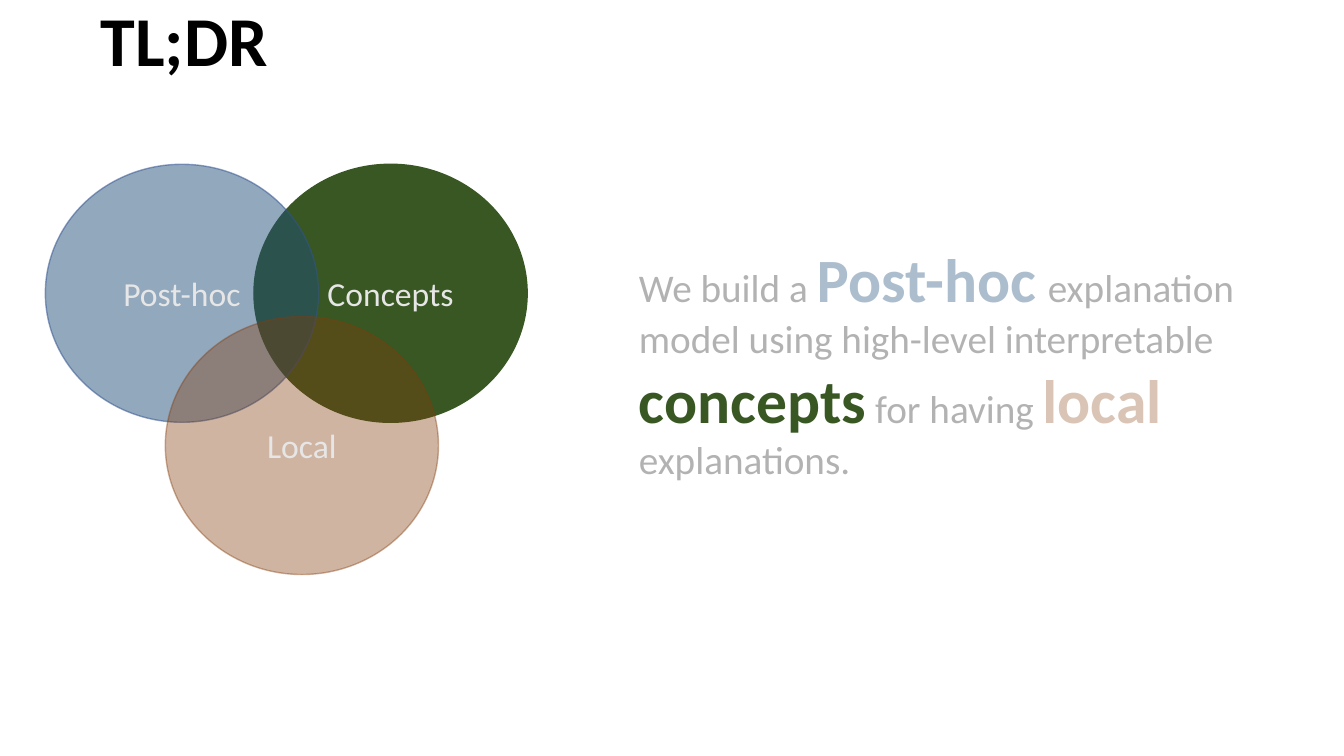
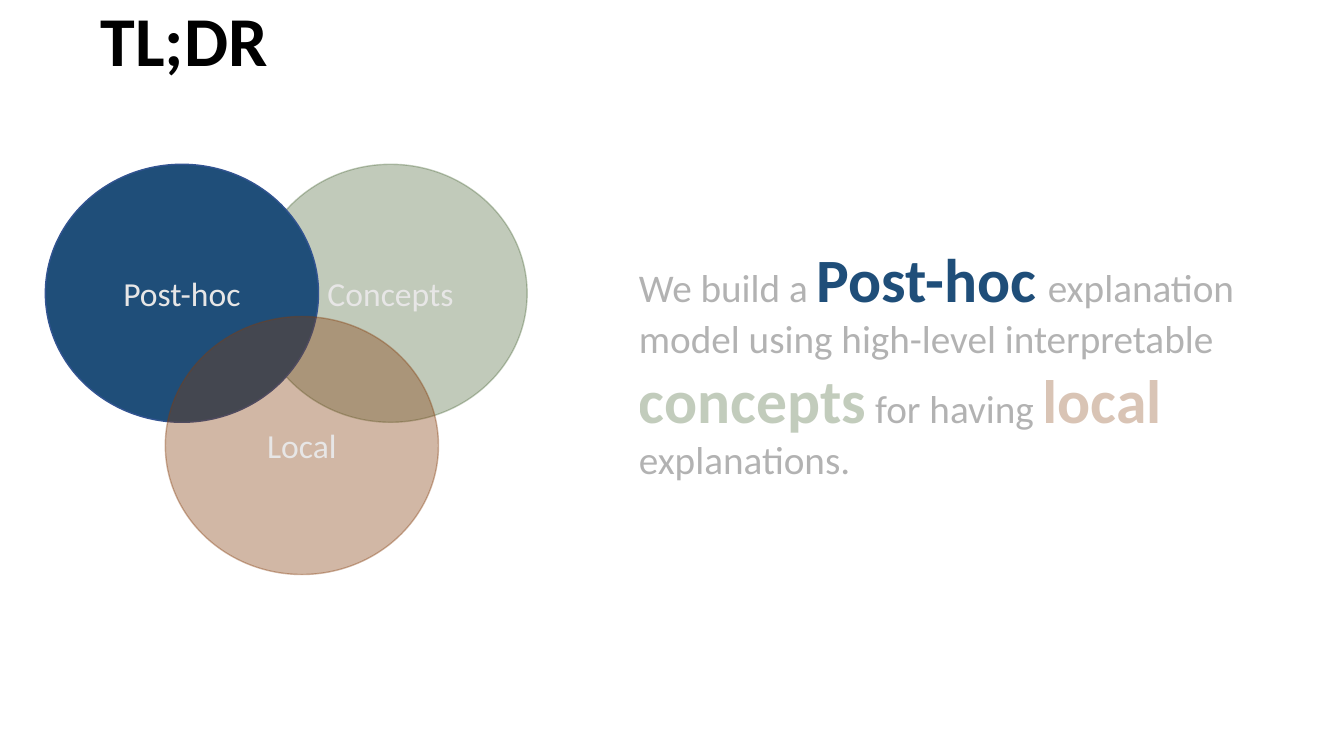
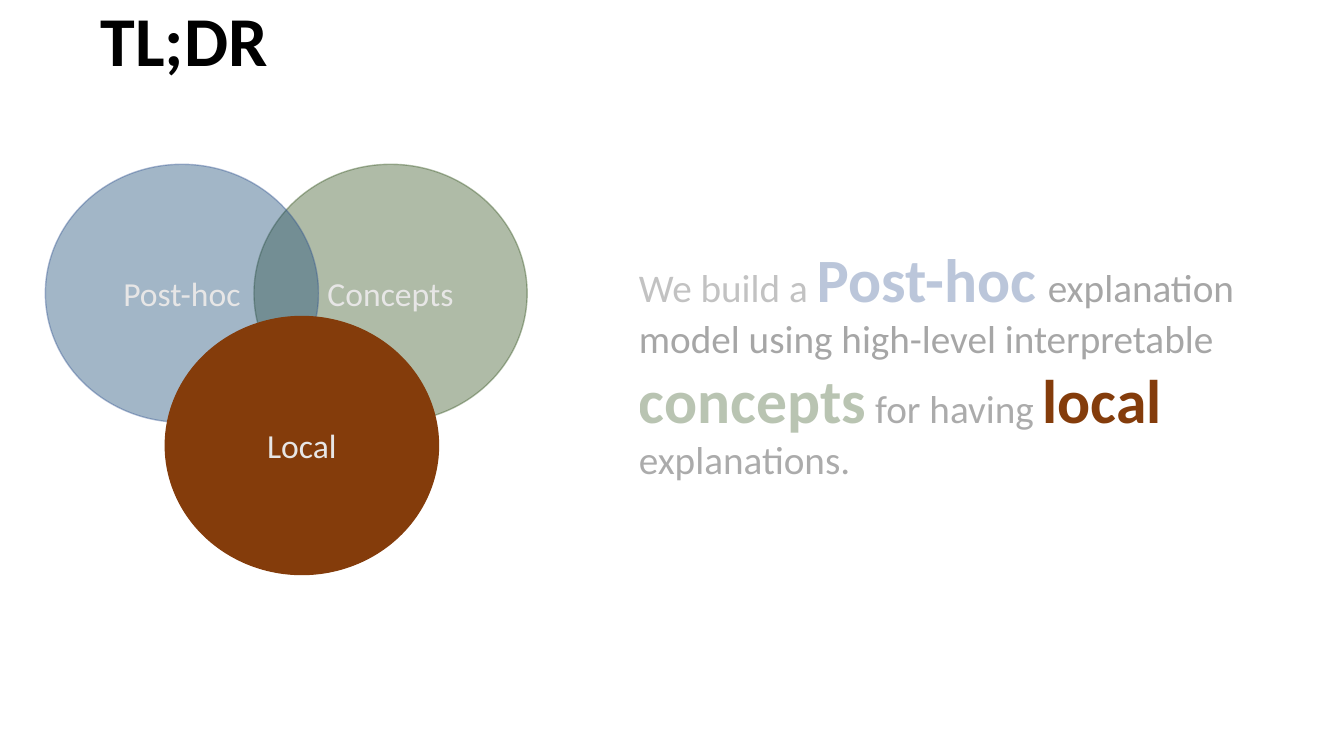
import pptx
import pptx.dml.color
import pptx.enum.shapes
import pptx.enum.text
import pptx.util
from lxml import etree
from pptx.oxml.ns import qn

COLUMNS, ROWS = 40, 30
FONT = "Calibri"
BLACK, LABEL = "000000", "E7E6E6"
BLUE, BLUE_EDGE, GREEN, BROWN = "1F4E79", "325491", "385723", "843C0B"

CIRCLE_SIZE = (8.13, 10.24)
CIRCLES = [  # label, left column, top row, fill, line
    ("Concepts", 7.56, 6.52, GREEN, GREEN),
    ("Post-hoc", 1.35, 6.52, BLUE, BLUE_EDGE),
    ("Local", 4.92, 12.56, BROWN, BROWN),
]
PLAIN = {"size": 28, "bold": False}
STRONG = {"size": 44, "bold": True}
SENTENCE = [  # text, colour, format
    ("We build a ", BLACK, PLAIN),
    ("Post-hoc", BLUE, STRONG),
    (" ", BLUE, {"size": 36, "bold": False}),
    ("explanation model using high-level interpretable ", BLACK, PLAIN),
    ("concepts", GREEN, STRONG),
    (" for having ", BLACK, PLAIN),
    ("local", BROWN, STRONG),
    (" explanations.", BLACK, PLAIN),
]
# Opacity in percent: (fill, line) of each circle, each span of the sentence,
# and the outline of "Post-hoc".
SLIDES = [
    {"circles": [(100, 100), (49, 52), (38, 40)],
     "spans": [30, 36, 100, 30, 100, 30, 30, 30], "outline": 33},
    {"circles": [(31, 31), (100, 100), (37, 37)],
     "spans": [30, 100, 100, 30, 30, 30, 30, 30], "outline": 100},
    {"circles": [(40, 40), (41, 39), (100, 100)],
     "spans": [24, 31, 100, 34, 35, 33, 100, 32], "outline": 32},
]


def rgb(value):
    return pptx.dml.color.RGBColor.from_string(value)


def paint(fill, element, colour, opacity=100):
    """Make the fill solid; element is the XML node that holds it."""
    fill.solid()
    fill.fore_color.rgb = rgb(colour)
    if opacity < 100:
        node = element.find(qn("a:solidFill")).find(qn("a:srgbClr"))
        etree.SubElement(node, qn("a:alpha"), val=str(opacity * 1000))


class Sheet:
    """Holds the deck, its style and the slide being filled."""

    def __init__(self):
        self.deck = pptx.Presentation()
        self.deck.slide_width = pptx.util.Inches(13.33)
        self.deck.slide_height = pptx.util.Inches(7.5)
        self.page = None

    def new_page(self):
        self.page = self.deck.slides.add_slide(self.deck.slide_layouts[6])

    def place(self, left, top, width, height):
        """Turn columns and rows into lengths."""
        column = self.deck.slide_width / COLUMNS
        row = self.deck.slide_height / ROWS
        return [round(part) for part in
                (left * column, top * row, width * column, height * row)]

    def span(self, para, text, colour, style, opacity=100):
        span = para.add_run()
        span.text = text
        span.font.name = FONT
        for name, value in style.items():
            setattr(span.font, name, pptx.util.Pt(value) if name == "size" else value)
        paint(span.font.fill, span.font._element, colour, opacity)
        return span

    def outline(self, span, colour, opacity):
        """Draw a thin line around the letters."""
        line = etree.Element(qn("a:ln"), w=str(pptx.util.Pt(0.75)))
        solid = etree.SubElement(line, qn("a:solidFill"))
        node = etree.SubElement(solid, qn("a:srgbClr"), val=colour)
        if opacity < 100:
            etree.SubElement(node, qn("a:alpha"), val=str(opacity * 1000))
        span.font._element.insert(0, line)

    def text_box(self, place, **frame_format):
        """Add a wrapping box and return its first paragraph."""
        box = self.page.shapes.add_textbox(*self.place(*place))
        for name, value in {"word_wrap": True, **frame_format}.items():
            setattr(box.text_frame, name, value)
        return box.text_frame.paragraphs[0]

    def title(self, text):
        para = self.text_box((2.7, -0.64, 17.82, 4.08),
                             vertical_anchor=pptx.enum.text.MSO_ANCHOR.BOTTOM)
        para.line_spacing = 0.9
        para.space_after = pptx.util.Pt(6)
        self.span(para, text, BLACK, {"size": 50, "bold": True})

    def circle(self, label, left, top, fill, line, opacities):
        shape = self.page.shapes.add_shape(
            pptx.enum.shapes.MSO_SHAPE.OVAL, *self.place(left, top, *CIRCLE_SIZE))
        shape.shadow.inherit = False
        paint(shape.fill, shape._element.spPr, fill, opacities[0])
        shape.line.width = pptx.util.Pt(1)
        paint(shape.line.fill, shape._element.spPr.find(qn("a:ln")), line, opacities[1])
        shape.text_frame.vertical_anchor = pptx.enum.text.MSO_ANCHOR.MIDDLE
        para = shape.text_frame.paragraphs[0]
        para.alignment = pptx.enum.text.PP_ALIGN.CENTER
        self.span(para, label, LABEL, {"size": 24})

    def sentence(self, opacities, outline_opacity):
        para = self.text_box((18.72, 9.36, 18.9, 10.08),
                             auto_size=pptx.enum.text.MSO_AUTO_SIZE.SHAPE_TO_FIT_TEXT)
        for (text, colour, style), opacity in zip(SENTENCE, opacities):
            span = self.span(para, text, colour, style, opacity)
            if text == "Post-hoc":
                self.outline(span, BLUE_EDGE, outline_opacity)


def main():
    sheet = Sheet()
    for look in SLIDES:
        sheet.new_page()
        sheet.title("TL;DR")
        for circle, opacities in zip(CIRCLES, look["circles"]):
            sheet.circle(*circle, opacities)
        sheet.sentence(look["spans"], look["outline"])
    sheet.deck.save("out.pptx")


if __name__ == "__main__":
    main()
